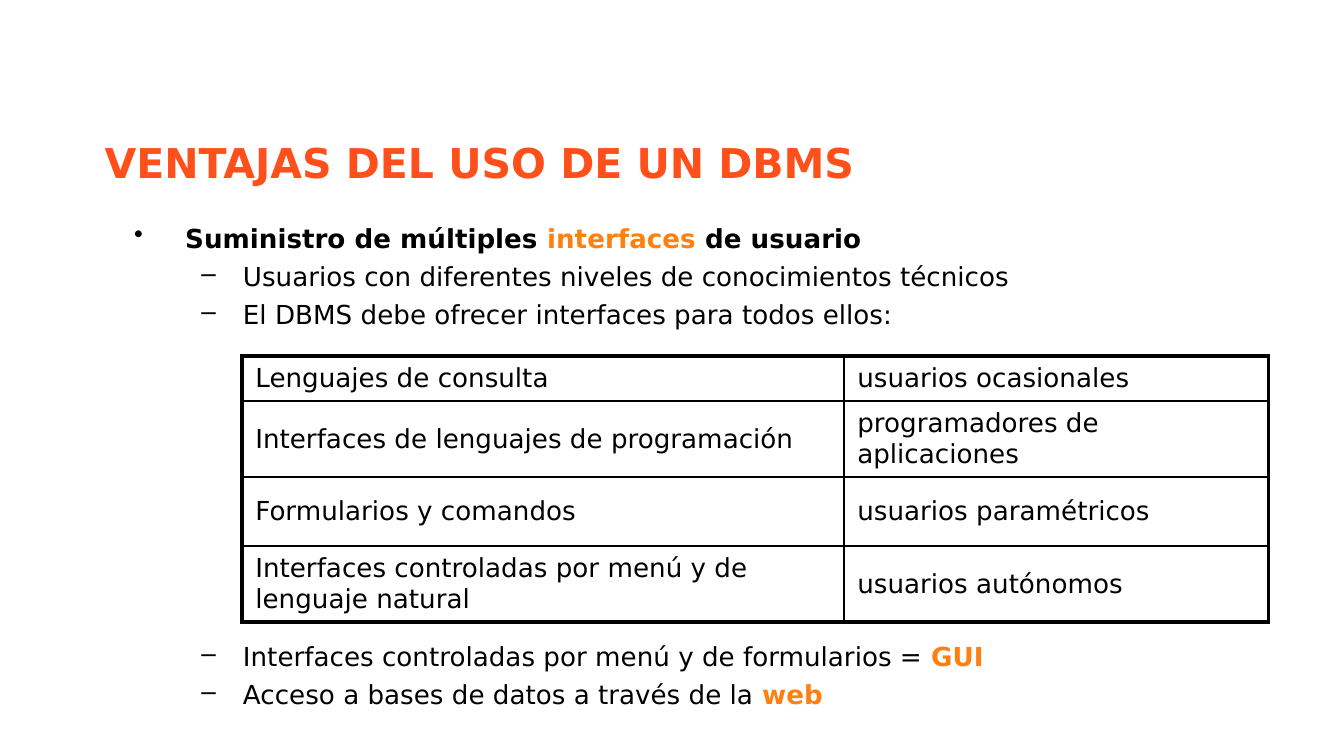
import pptx
import pptx.util
import pptx.dml.color
import pptx.enum.text
import pptx.oxml.ns
from dataclasses import dataclass
from lxml import etree

Pt = pptx.util.Pt
RGB = pptx.dml.color.RGBColor
ANCHOR = pptx.enum.text.MSO_ANCHOR
qn = pptx.oxml.ns.qn


@dataclass(frozen=True)
class Theme:
    """Colours, font, type sizes and line widths of the slide."""
    font: str = "DejaVu Sans"
    ink: str = "000000"
    title: str = "FF501C"
    accent: str = "FF800F"
    title_size: float = 22
    body_size: float = 14
    outer_line: float = 2.25
    inner_line: float = 1


THEME = Theme()
TABLE_GAP = 166.6
TOPICS = [
    (0, [("Suministro de múltiples", "bold"), (" interfaces ", "accent"),
         ("de usuario", "bold")], 0),
    (1, [("Usuarios con diferentes niveles de conocimientos técnicos", "plain")], 3.6),
    (1, [("El DBMS debe ofrecer interfaces para todos ellos:", "plain")], 3.6),
    (1, [("Interfaces controladas por menú y de formularios = ", "plain"),
         ("GUI", "accent")], TABLE_GAP),
    (1, [("Acceso a bases de datos a través de la ", "plain"), ("web", "accent")], 3.6),
]
LEVELS = [("•", 27.36, -27.36), ("–", 58.32, -22.32)]
INTERFACES = [
    ("Lenguajes de consulta", "usuarios ocasionales"),
    ("Interfaces de lenguajes de programación", "programadores de aplicaciones"),
    ("Formularios y comandos", "usuarios paramétricos"),
    ("Interfaces controladas por menú y de lenguaje natural", "usuarios autónomos"),
]


def style_run(r, size, color, bold=False):
    """Format one run in the theme font."""
    r.font.name = THEME.font
    r.font.size = Pt(size)
    r.font.bold = bold
    r.font.color.rgb = RGB.from_string(color)


def add_text_frame(slide, box):
    """Add a wrapping text box and return its text frame."""
    tf = slide.shapes.add_textbox(*map(Pt, box)).text_frame
    tf.word_wrap = True
    return tf


def add_title(slide, box, text):
    """Place the slide title at the bottom of its box."""
    tf = add_text_frame(slide, box)
    tf.margin_top = tf.margin_bottom = Pt(7.2)
    tf.vertical_anchor = ANCHOR.BOTTOM
    tf.text = text
    style_run(tf.paragraphs[0].runs[0], THEME.title_size, THEME.title, True)


def set_bullet(p, level):
    """Give a paragraph the bullet and hanging indent of its level."""
    char, left, hanging = LEVELS[level]
    pPr = p._p.get_or_add_pPr()
    pPr.set("marL", str(Pt(left)))
    pPr.set("indent", str(Pt(hanging)))
    color = etree.SubElement(pPr, qn("a:buClr"))
    etree.SubElement(color, qn("a:srgbClr"), val=THEME.ink)
    etree.SubElement(pPr, qn("a:buChar"), char=char)


def add_topics(slide, box, topics):
    """Place the bulleted topics, leaving room for the table."""
    tf = add_text_frame(slide, box)
    for i, (level, parts, gap) in enumerate(topics):
        p = tf.add_paragraph() if i else tf.paragraphs[0]
        p.level = level
        p.line_spacing = 1.0 if level else 1.1
        p.space_before = Pt(gap)
        set_bullet(p, level)
        for text, kind in parts:
            r = p.add_run()
            r.text = text
            color = THEME.accent if kind == "accent" else THEME.ink
            style_run(r, THEME.body_size, color, kind != "plain")


def set_borders(cell, outer):
    """Draw the four cell borders, thicker on the outer sides."""
    tcPr = cell._tc.get_or_add_tcPr()
    for i, side in enumerate("LRTB"):
        width = THEME.outer_line if side in outer else THEME.inner_line
        ln = etree.Element(qn(f"a:ln{side}"), w=str(Pt(width)))
        fill = etree.SubElement(ln, qn("a:solidFill"))
        etree.SubElement(fill, qn("a:srgbClr"), val=THEME.ink)
        tcPr.insert(i, ln)


def add_interface_table(slide, box, rows, widths, heights):
    """Place the table that pairs interfaces with their users."""
    table = slide.shapes.add_table(len(rows), len(widths), *map(Pt, box)).table
    table.first_row = table.horz_banding = False
    for column, width in zip(table.columns, widths):
        column.width = Pt(width)
    for i, (row, height) in enumerate(zip(rows, heights)):
        table.rows[i].height = Pt(height)
        for j, text in enumerate(row):
            cell = table.cell(i, j)
            cell.text = text
            cell.vertical_anchor = ANCHOR.MIDDLE
            cell.fill.background()
            style_run(cell.text_frame.paragraphs[0].runs[0], THEME.body_size, THEME.ink)
            edges = {"L": j == 0, "R": j == len(widths) - 1,
                     "T": i == 0, "B": i == len(rows) - 1}
            set_borders(cell, [side for side, outer in edges.items() if outer])


def main():
    """Build and save the slide."""
    prs = pptx.Presentation()
    prs.slide_width, prs.slide_height = Pt(720), Pt(405)
    slide = prs.slides.add_slide(prs.slide_layouts[6])
    add_title(slide, (49, 62, 662.4, 45.4), "VENTAJAS DEL USO DE UN DBMS")
    add_topics(slide, (64.8, 113.8, 645.8, 280), TOPICS)
    add_interface_table(slide, (129.6, 190.8, 550, 135.4), INTERFACES,
                        (322.5, 227.5), (20.9, 36.7, 36.7, 41))
    prs.save("out.pptx")


if __name__ == "__main__":
    main()
